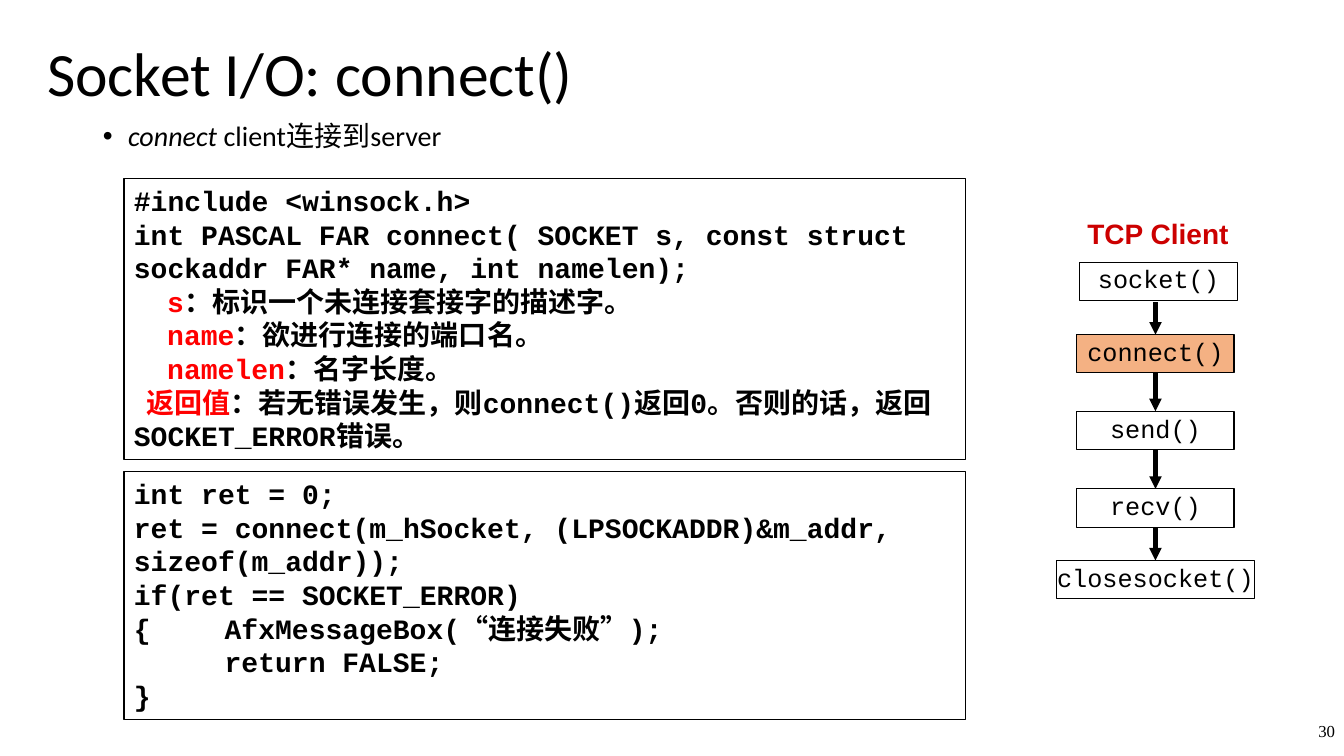
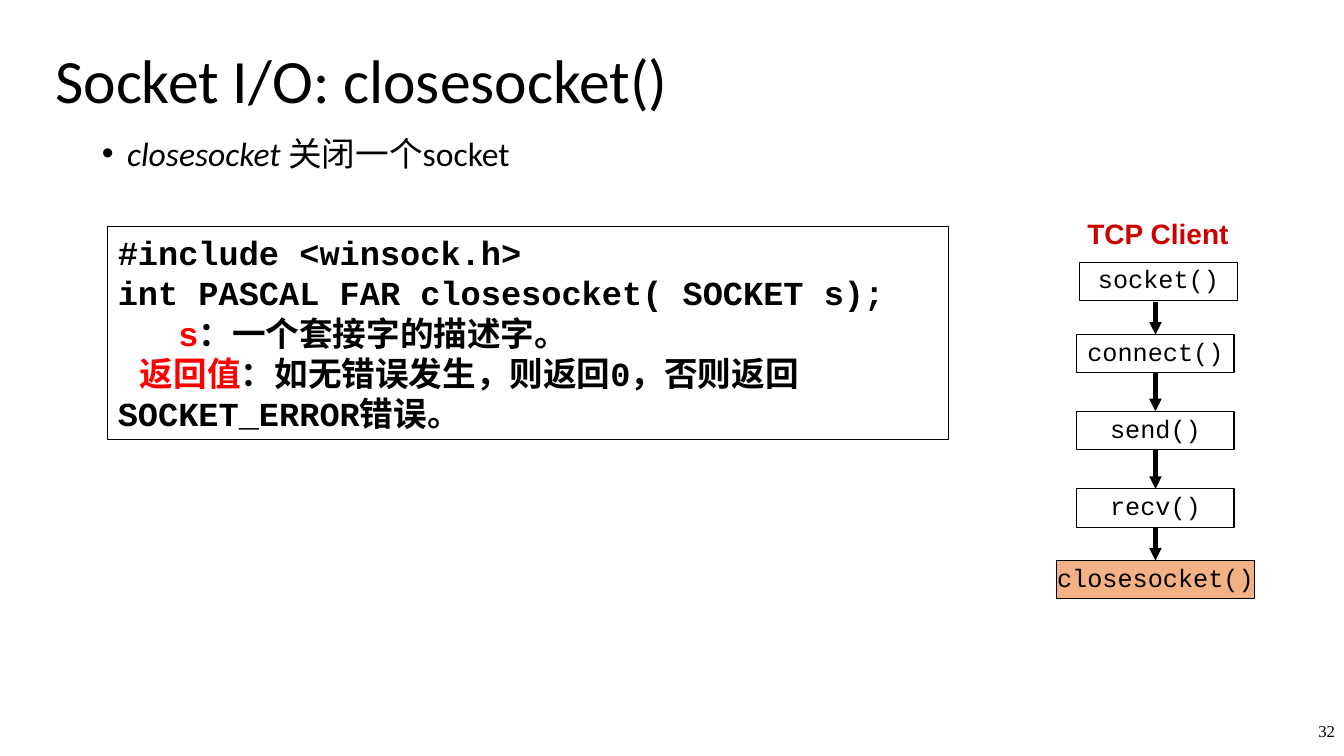
import pptx
import pptx.util
import pptx.dml.color
import pptx.enum.shapes
import pptx.enum.text
import pptx.oxml.ns
from lxml import etree

Inches = pptx.util.Inches
Pt = pptx.util.Pt
qn = pptx.oxml.ns.qn
RGBColor = pptx.dml.color.RGBColor
Align = pptx.enum.text.PP_ALIGN
Anchor = pptx.enum.text.MSO_ANCHOR
Fit = pptx.enum.text.MSO_AUTO_SIZE
Shape = pptx.enum.shapes.MSO_SHAPE
Line = pptx.enum.shapes.MSO_CONNECTOR

BLACK = RGBColor(0x00, 0x00, 0x00)
RED = RGBColor(0xFF, 0x00, 0x00)
CRIMSON = RGBColor(0xCC, 0x00, 0x00)
ORANGE = RGBColor(0xF4, 0xB1, 0x83)

AXIS = 11.46
STEP_H = 0.38
# call, top, width, shift off the axis
STEPS = [
    ("socket()", 2.6, 1.56, 0.03),
    ("connect()", 3.32, 1.56, 0),
    ("send()", 4.08, 1.56, 0),
    ("recv()", 4.85, 1.56, 0),
    ("closesocket()", 5.56, 1.97, 0),
]


class Deck:
    """Holds the style and the current slide."""

    def __init__(self):
        self.prs = pptx.Presentation()
        self.prs.slide_width = Inches(13.33)
        self.prs.slide_height = Inches(7.5)

    def new(self, number):
        self.slide = self.prs.slides.add_slide(self.prs.slide_layouts[6])
        self.label(number, (12.67, 7, 0.67, 0.5), "Times New Roman", 12, align=Align.RIGHT)

    def style(self, para, face, size, color=BLACK, bold=False):
        font = para.font
        font.name, font.size, font.bold = face, Pt(size), bold
        font.color.rgb = color

    def text(self, at, pad=(0.1, 0.05)):
        frame = self.slide.shapes.add_textbox(*map(Inches, at)).text_frame
        frame.word_wrap = True
        frame.margin_left = frame.margin_right = Inches(pad[0])
        frame.margin_top = frame.margin_bottom = Inches(pad[1])
        return frame

    def label(self, text, at, face, size, color=BLACK, bold=False, align=Align.LEFT, wrap=True):
        frame = self.text(at)
        frame.word_wrap = wrap
        frame.vertical_anchor = Anchor.MIDDLE
        para = frame.paragraphs[0]
        para.text, para.alignment = text, align
        self.style(para, face, size, color, bold)
        return para

    def title(self, text, at):
        self.label(text, at, "Calibri", 44).line_spacing = 0.9

    def bullet(self, term, rest, at, size):
        para = self.text(at, (0.09, 0.04)).paragraphs[0]
        para.line_spacing = 0.9
        props = para._p.get_or_add_pPr()
        props.set("marL", str(Inches(0.25)))
        props.set("indent", str(Inches(-0.25)))
        etree.SubElement(props, qn("a:buFont")).set("typeface", "Arial")
        etree.SubElement(props, qn("a:buChar")).set("char", "•")
        self.style(para, "Calibri", size)
        run = para.add_run()
        run.text, run.font.italic = term, True
        para.add_run().text = rest

    def box(self, at, fill=None):
        box = self.slide.shapes.add_shape(Shape.RECTANGLE, *map(Inches, at))
        box.shadow.inherit = False
        if fill is None:
            box.fill.background()
        else:
            box.fill.solid()
            box.fill.fore_color.rgb = fill
        box.line.color.rgb = BLACK
        box.line.width = Pt(0.75)
        box.text_frame.vertical_anchor = Anchor.TOP
        return box

    def code(self, at, size, lines):
        """Each line is plain text, or (first-line indent, red term, rest)."""
        frame = self.box(at).text_frame
        frame.word_wrap = True
        frame.auto_size = Fit.SHAPE_TO_FIT_TEXT
        for i, line in enumerate(lines):
            para = frame.add_paragraph() if i else frame.paragraphs[0]
            para.alignment = Align.LEFT
            props = para._p.get_or_add_pPr()
            indent, term, rest = (0, "", line) if isinstance(line, str) else line
            if indent:
                props.set("marL", "0")
                props.set("indent", str(Inches(indent)))
            if "\t" in rest:
                tabs = etree.SubElement(props, qn("a:tabLst"))
                etree.SubElement(tabs, qn("a:tab"), pos=str(Inches(0.9)), algn="l")
            self.style(para, "Courier New", size, bold=True)
            for words, color in ((term, RED), (rest, BLACK)):
                if words:
                    run = para.add_run()
                    run.text = words
                    run.font.color.rgb = color

    def arrow(self, start, end, joined):
        """Point down from one step to the next."""
        x = Inches(AXIS)
        link = self.slide.shapes.add_connector(
            Line.STRAIGHT, x, start.top + start.height + Inches(0.02), x, end.top)
        if joined:
            link.begin_connect(start, 2)
        link.end_connect(end, 0)
        link.line.color.rgb = BLACK
        link.line.width = Pt(3)
        etree.SubElement(link.line._get_or_add_ln(), qn("a:tailEnd")).set("type", "triangle")
        etree.SubElement(link._element.spPr, qn("a:effectLst"))

    def flow(self, active):
        """Draw the client call sequence with one call filled."""
        self.label("TCP Client", (10.68, 2.1, 1.61, 0.43), "Arial", 20, CRIMSON, True,
                   Align.CENTER, False)
        last = None
        for name, top, width, shift in STEPS:
            left = AXIS - width / 2 + shift
            step = self.box((left, top, width, STEP_H), ORANGE if name == active else None)
            step.text_frame.word_wrap = False
            para = step.text_frame.paragraphs[0]
            para.text, para.alignment, para.line_spacing = name, Align.CENTER, 0.9
            self.style(para, "Courier New", 18)
            if last is not None:
                self.arrow(last, step, centred)
            last, centred = step, shift == 0


def main():
    deck = Deck()

    deck.new("30")
    deck.title("Socket I/O: connect()", (0.37, 0.13, 8.5, 1.25))
    deck.bullet("connect", " client连接到server", (0.93, 1.17, 6.21, 0.45), 20)
    deck.code((1.23, 1.77, 8.35, 2.79), 20, [
        "#include <winsock.h>",
        "int PASCAL FAR connect( SOCKET s, const struct sockaddr FAR* name, int namelen);",
        (0.33, "s", "：标识一个未连接套接字的描述字。"),
        (0.33, "name", "：欲进行连接的端口名。"),
        (0.33, "namelen", "：名字长度。"),
        (0.12, "返回值", "：若无错误发生，则connect()返回0。否则的话，返回SOCKET_ERROR错误。"),
    ])
    deck.code((1.23, 4.68, 8.35, 2.46), 20, [
        "int ret = 0;",
        "ret = connect(m_hSocket, (LPSOCKADDR)&m_addr, sizeof(m_addr));",
        "if(ret == SOCKET_ERROR)",
        "{\tAfxMessageBox(“连接失败”);",
        "\treturn FALSE;",
        "}",
    ])
    deck.flow("connect()")

    deck.new("32")
    deck.title("Socket I/O: closesocket()", (0.45, 0.1, 11.5, 1.45))
    deck.bullet("closesocket", " 关闭一个socket", (0.92, 1.32, 8.5, 0.46), 24)
    deck.code((1.07, 2.25, 8.34, 2.11), 24, [
        "#include <winsock.h>",
        "int PASCAL FAR closesocket( SOCKET s);",
        (0.6, "s", "：一个套接字的描述字。"),
        (0.22, "返回值", "：如无错误发生，则返回0，否则返回SOCKET_ERROR错误。"),
    ])
    deck.flow("closesocket()")

    deck.prs.save("out.pptx")


if __name__ == "__main__":
    main()
